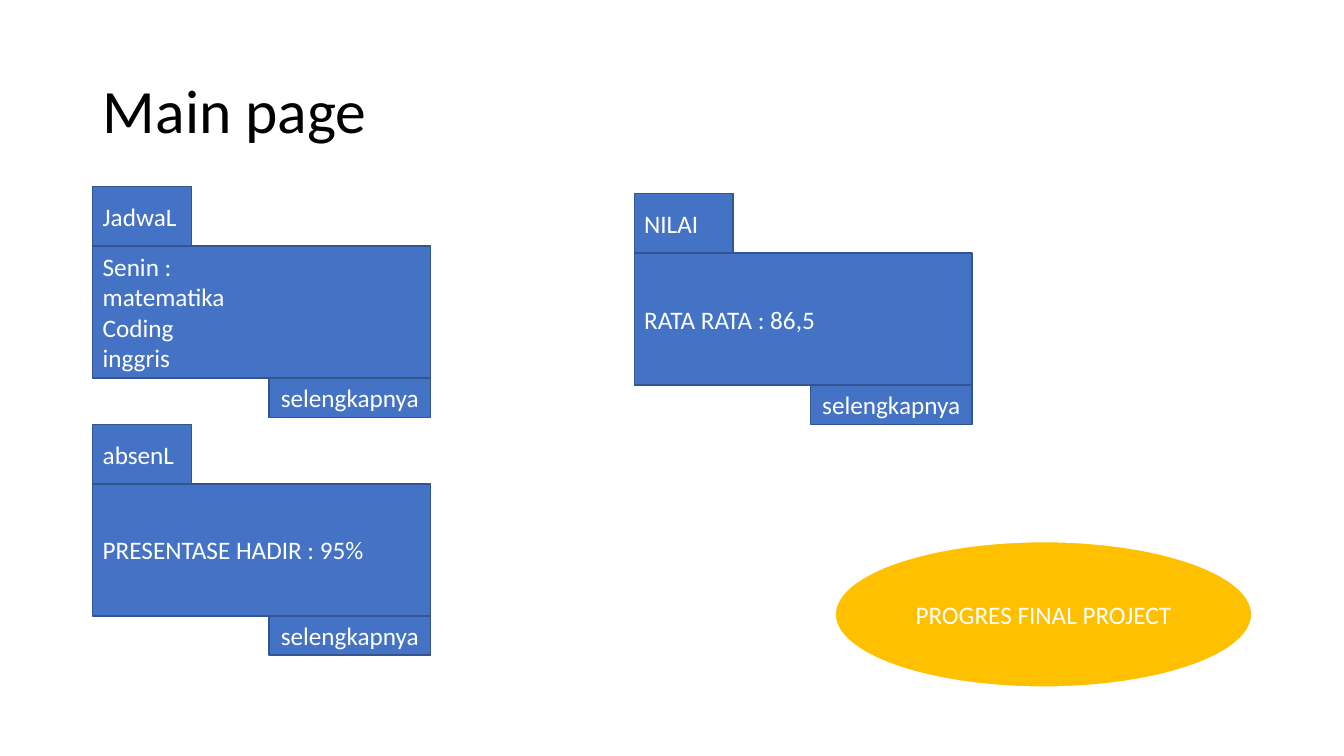
from dataclasses import dataclass

from pptx import Presentation
from pptx.dml.color import RGBColor
from pptx.enum.shapes import MSO_SHAPE
from pptx.enum.text import MSO_ANCHOR, PP_ALIGN
from pptx.util import Inches, Pt

RECTANGLE, OVAL = MSO_SHAPE.RECTANGLE, MSO_SHAPE.OVAL
LEFT, CENTER, JUSTIFY = PP_ALIGN.LEFT, PP_ALIGN.CENTER, PP_ALIGN.JUSTIFY
MIDDLE = MSO_ANCHOR.MIDDLE

FONT = "Calibri"
BLACK, WHITE = "000000", "FFFFFF"
BLUE, NAVY, GOLD = "4472C4", "325491", "FFC000"

TAB_WIDTH, TAB_HEIGHT = 0.98, 0.59
BODY_WIDTH, BODY_HEIGHT = 3.35, 1.31
BUTTON_WIDTH, BUTTON_HEIGHT = 1.6, 0.39


@dataclass
class Area:
    left: float
    top: float
    width: float
    height: float


@dataclass
class Style:
    fill: str = BLUE
    line: str = NAVY
    line_width: float = 1
    shape: MSO_SHAPE = RECTANGLE


@dataclass
class Card:
    left: float
    top: float
    heading: str
    lines: list[str]


CARDS = [
    Card(0.92, 1.85, "JadwaL", ["Senin :", "matematika", "Coding", "inggris"]),
    Card(0.92, 4.21, "absenL", ["PRESENTASE HADIR : 95%"]),
    Card(6.29, 1.92, "NILAI", ["RATA RATA : 86,5"]),
]


def color(value: str) -> RGBColor:
    return RGBColor.from_string(value)


def write(frame, lines: list[str], align: PP_ALIGN, size: float, ink: str) -> None:
    frame.word_wrap = True
    frame.vertical_anchor = MIDDLE
    for index, line in enumerate(lines):
        para = frame.paragraphs[0] if index == 0 else frame.add_paragraph()
        para.alignment = align
        span = para.add_run()
        span.text = line
        span.font.name = FONT
        span.font.size = Pt(size)
        span.font.color.rgb = color(ink)


def add_box(page, area: Area, lines: list[str], align: PP_ALIGN, style: Style) -> None:
    box = page.shapes.add_shape(
        style.shape, Inches(area.left), Inches(area.top), Inches(area.width), Inches(area.height)
    )
    box.shadow.inherit = False
    box.fill.solid()
    box.fill.fore_color.rgb = color(style.fill)
    box.line.color.rgb = color(style.line)
    box.line.width = Pt(style.line_width)
    write(box.text_frame, lines, align, 18, WHITE)


def add_card(page, card: Card) -> None:
    body_top = card.top + TAB_HEIGHT
    button_left = card.left + BODY_WIDTH - BUTTON_WIDTH
    tab = Area(card.left, card.top, TAB_WIDTH, TAB_HEIGHT)
    body = Area(card.left, body_top, BODY_WIDTH, BODY_HEIGHT)
    button = Area(button_left, body_top + BODY_HEIGHT, BUTTON_WIDTH, BUTTON_HEIGHT)
    add_box(page, tab, [card.heading], LEFT, Style())
    add_box(page, body, card.lines, JUSTIFY, Style())
    add_box(page, button, ["selengkapnya"], CENTER, Style())


def add_title(page, text: str) -> None:
    title = page.shapes.title
    title.left, title.top = Inches(0.92), Inches(0.4)
    title.width, title.height = Inches(11.5), Inches(1.45)
    write(title.text_frame, [text], LEFT, 44, BLACK)
    title.text_frame.paragraphs[0].line_spacing = 0.9


def main() -> None:
    deck = Presentation()
    deck.slide_width, deck.slide_height = Inches(13.33), Inches(7.5)
    page = deck.slides.add_slide(deck.slide_layouts[5])
    add_title(page, "Main page")
    for card in CARDS:
        add_card(page, card)
    progress = Area(8.28, 5.37, 4.14, 1.45)
    add_box(page, progress, ["PROGRES FINAL PROJECT"], CENTER, Style(GOLD, WHITE, 1.5, OVAL))
    deck.save("out.pptx")


if __name__ == "__main__":
    main()
